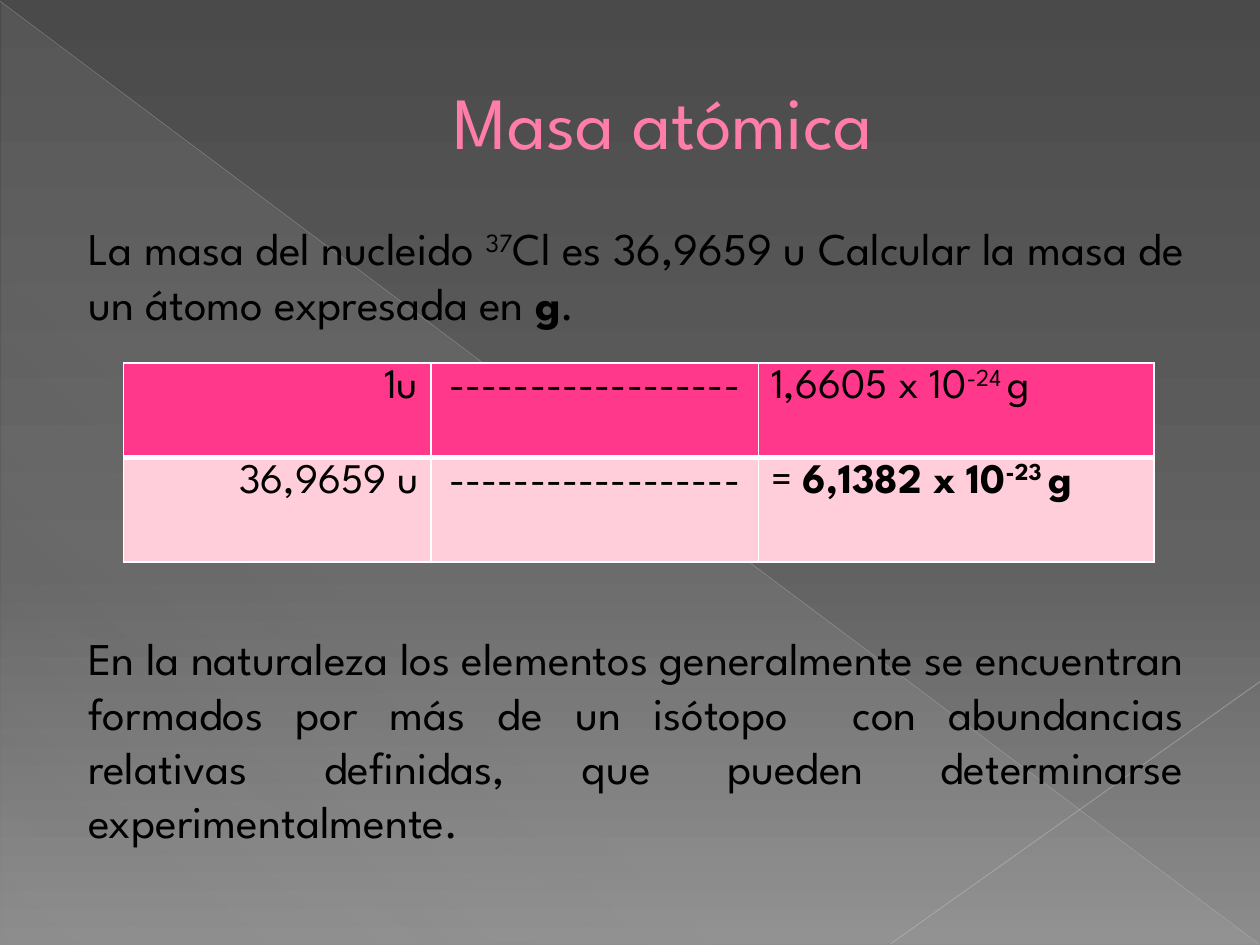
from dataclasses import dataclass
from typing import Any

from lxml.etree import SubElement
from pptx import Presentation
from pptx.dml.color import RGBColor
from pptx.enum.shapes import MSO_CONNECTOR as Connector, MSO_SHAPE as Preset
from pptx.enum.text import MSO_ANCHOR as Anchor, MSO_AUTO_SIZE as AutoSize, PP_ALIGN as Align
from pptx.oxml import parse_xml
from pptx.oxml.ns import nsdecls, qn
from pptx.util import Inches, Pt

FONT = "League Spartan"
BLACK, WHITE, ROSE = "000000", "FFFFFF", "FF7DA7"


@dataclass
class Span:
    """A stretch of text with its own weight or raised position."""
    text: str
    bold: bool = False
    raised: bool = False


@dataclass
class Ray:
    """A thin translucent line across the background."""
    start: tuple[float, float]
    end: tuple[float, float]
    color: str
    width: float
    opacity: int


@dataclass
class Equation:
    """One row of the proportion table."""
    height: float
    color: str
    mass: str
    result: list[Span]


def rgb(color: str) -> RGBColor:
    """Turn a hex string into a colour."""
    return RGBColor.from_string(color)


def apply(target: Any, values: dict[str, Any]) -> None:
    """Set every attribute listed in a dict of format values."""
    for key, value in values.items():
        setattr(target, key, value)


def gradient(stops: list[tuple[int, str, int]], angle: int) -> Any:
    """Build a linear gradient from (position, colour, opacity) stops."""
    marks = "".join(
        f'<a:gs pos="{pos * 1000}"><a:srgbClr val="{color}"><a:alpha val="{opacity * 1000}"/>'
        "</a:srgbClr></a:gs>" for pos, color, opacity in stops)
    return parse_xml(f'<a:gradFill {nsdecls("a")}><a:gsLst>{marks}</a:gsLst>'
                     f'<a:lin ang="{angle * 60000}" scaled="0"/></a:gradFill>')


def outline(tag: str, color: str, width: float) -> Any:
    """Build a solid line element for a glyph or a cell edge."""
    return parse_xml(f'<a:{tag} {nsdecls("a")} w="{int(Pt(width))}"><a:solidFill>'
                     f'<a:srgbClr val="{color}"/></a:solidFill></a:{tag}>')


def write(paragraph: Any, spans: list[Span], size: float, color: str = BLACK) -> None:
    """Add formatted spans to a paragraph."""
    for span in spans:
        run = paragraph.add_run()
        run.text = span.text
        apply(run.font, {"name": FONT, "size": Pt(size), "bold": span.bold})
        run.font.color.rgb = rgb(color)
        if span.raised:
            run.font._element.set("baseline", "30000")


def indent(paragraph: Any, left: float) -> None:
    """Give a paragraph a left margin without a bullet."""
    properties = paragraph._p.get_or_add_pPr()
    properties.set("marL", str(int(Inches(left))))
    properties.set("indent", "0")
    SubElement(properties, qn("a:buNone"))


def place(holder: Any, box: tuple[float, ...], anchor: Anchor) -> Any:
    """Move a placeholder and return its text frame."""
    apply(holder, dict(zip(("left", "top", "width", "height"), map(Inches, box))))
    apply(holder.text_frame, {"word_wrap": True, "auto_size": AutoSize.NONE,
                              "vertical_anchor": anchor})
    return holder.text_frame


def draw_ray(slide: Any, ray: Ray) -> Any:
    """Draw a translucent background line."""
    line = slide.shapes.add_connector(Connector.STRAIGHT, *map(Inches, ray.start + ray.end))
    line.line.width = Pt(ray.width)
    line.line.color.rgb = rgb(ray.color)
    tint = line._element.spPr.find(f".//{qn('a:srgbClr')}")
    SubElement(tint, qn("a:alpha")).set("val", str(ray.opacity * 1000))
    SubElement(line._element.spPr, qn("a:effectLst"))
    return line


def draw_backdrop(slide: Any) -> None:
    """Paint the grey background, its triangle and its rays behind the text."""
    slide.background.fill.solid()
    backdrop = slide._element.find(f".//{qn('p:bgPr')}")
    backdrop.replace(backdrop[0], gradient(
        [(0, "4A4A4A", 100), (60, "626262", 100), (100, "8C8C8C", 100)], 90))
    triangle = slide.shapes.add_shape(
        Preset.RIGHT_TRIANGLE, *map(Inches, (0.01, 0.02, 9.99, 7.48)))
    triangle.shadow.inherit = False
    triangle.line.fill.background()
    triangle.fill.solid()
    properties = triangle._element.spPr
    properties.replace(properties.find(qn("a:solidFill")), gradient(
        [(0, "D2D2D2", 10), (70, "D2D2D2", 8), (100, "D2D2D2", 1)], 133))
    rays = [Ray((0, 0.01), (9.99, 7.49), "BFBFBF", 0.39, 35),
            Ray((10, 5.41), (7.07, 7.49), "C6C6C6", 0.47, 45)]
    layers = [triangle] + [draw_ray(slide, ray) for ray in rays]
    for depth, layer in enumerate(layers, start=2):
        slide.shapes._spTree.insert(depth, layer._element)


def draw_equations(slide: Any, equations: list[Equation], widths: list[float]) -> None:
    """Draw the proportion table."""
    heights = [equation.height for equation in equations]
    table = slide.shapes.add_table(len(equations), len(widths), *map(
        Inches, (0.98, 2.88, sum(widths), sum(heights)))).table
    apply(table, {"first_row": False, "horz_banding": False})
    for column, width in zip(table.columns, widths):
        column.width = Inches(width)
    for index, equation in enumerate(equations):
        table.rows[index].height = Inches(equation.height)
        contents = [([Span(equation.mass)], Align.RIGHT), ([Span("-" * 18)], Align.CENTER),
                    (equation.result, Align.LEFT)]
        edges = {"lnL": 1, "lnR": 1, "lnT": 3 if index else 1, "lnB": 1 if index else 3}
        for cell, (spans, alignment) in zip(table.rows[index].cells, contents):
            cell.fill.solid()
            cell.fill.fore_color.rgb = rgb(equation.color)
            paragraph = cell.text_frame.paragraphs[0]
            paragraph.alignment = alignment
            write(paragraph, spans, 24)
            for order, (edge, width) in enumerate(edges.items()):
                cell._tc.get_or_add_tcPr().insert(order, outline(edge, WHITE, width))


def build() -> None:
    """Build and save the slide on atomic mass."""
    deck = Presentation()
    apply(deck, {"slide_width": Inches(10), "slide_height": Inches(7.5)})
    slide = deck.slides.add_slide(deck.slide_layouts[1])
    draw_backdrop(slide)

    heading = place(slide.shapes.title, (0.5, 0.29, 9, 1.33), Anchor.MIDDLE).paragraphs[0]
    heading.alignment = Align.CENTER
    indent(heading, 0.53)
    write(heading, [Span("Masa atómica")], 42, ROSE)
    heading.runs[0].font._element.insert(0, outline("ln", "B12761", 0.5))

    problem = [Span("La masa del nucleido "), Span("37", raised=True),
               Span("Cl es 36,9659 u Calcular la masa de un átomo expresada en "),
               Span("g", bold=True), Span(".")]
    isotopes = [Span("En la naturaleza los elementos generalmente se encuentran formados por "
                     "más de un isótopo  con abundancias relativas definidas, que pueden "
                     "determinarse experimentalmente.")]
    body = place(slide.placeholders[1], (0.5, 1.7, 9, 5.36), Anchor.TOP)
    for paragraph, spans, before, after in (
            (body.paragraphs[0], problem, 0, 12), (body.add_paragraph(), isotopes, 160, 6)):
        apply(paragraph, {"alignment": Align.JUSTIFY, "space_before": Pt(before),
                          "space_after": Pt(after)})
        indent(paragraph, 0.1)
        write(paragraph, spans, 25.9)

    draw_equations(slide, [
        Equation(0.75, "FF388C", "1u",
                 [Span("1,6605 x 10"), Span("-24 ", raised=True), Span("g")]),
        Equation(0.83, "FFCEDA", "36,9659 u",
                 [Span("= "), Span("6,1382 x 10", True), Span("-23 ", True, True),
                  Span("g", True)]),
    ], [2.44, 2.6, 3.14])
    deck.save("out.pptx")


build()
